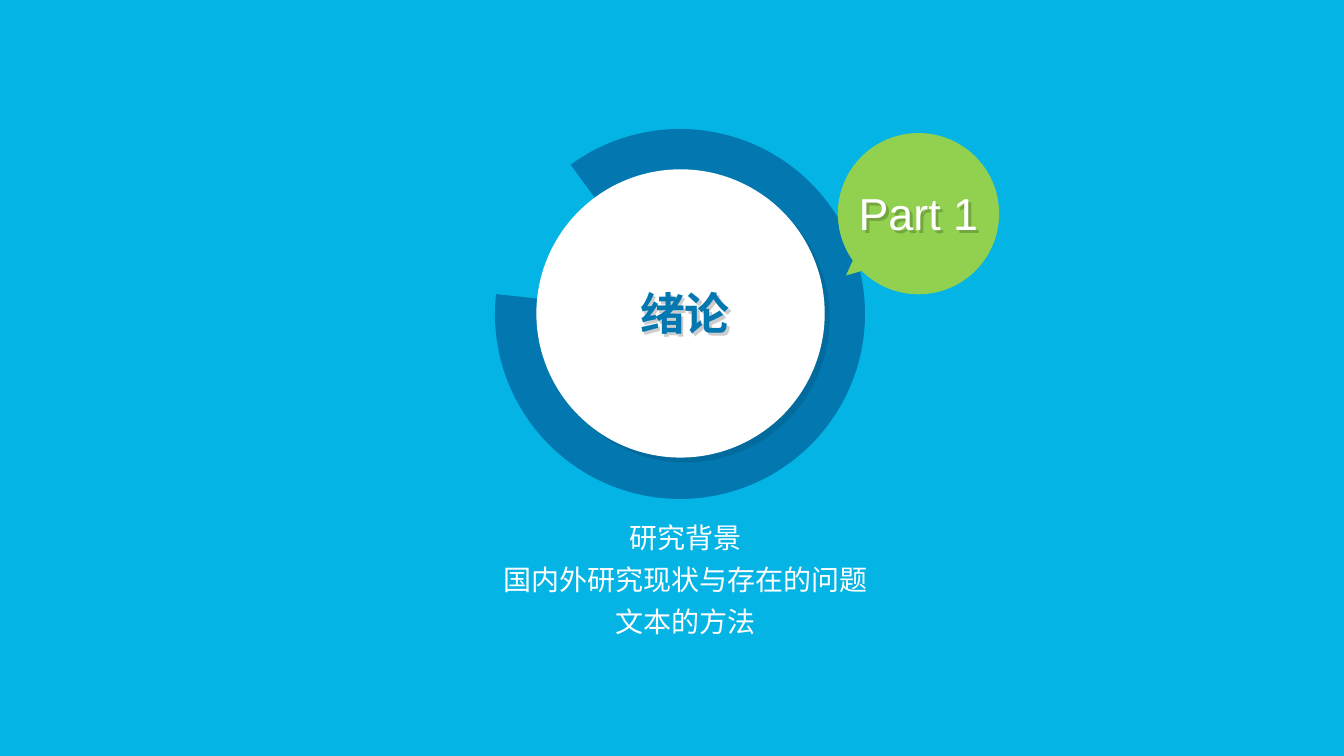
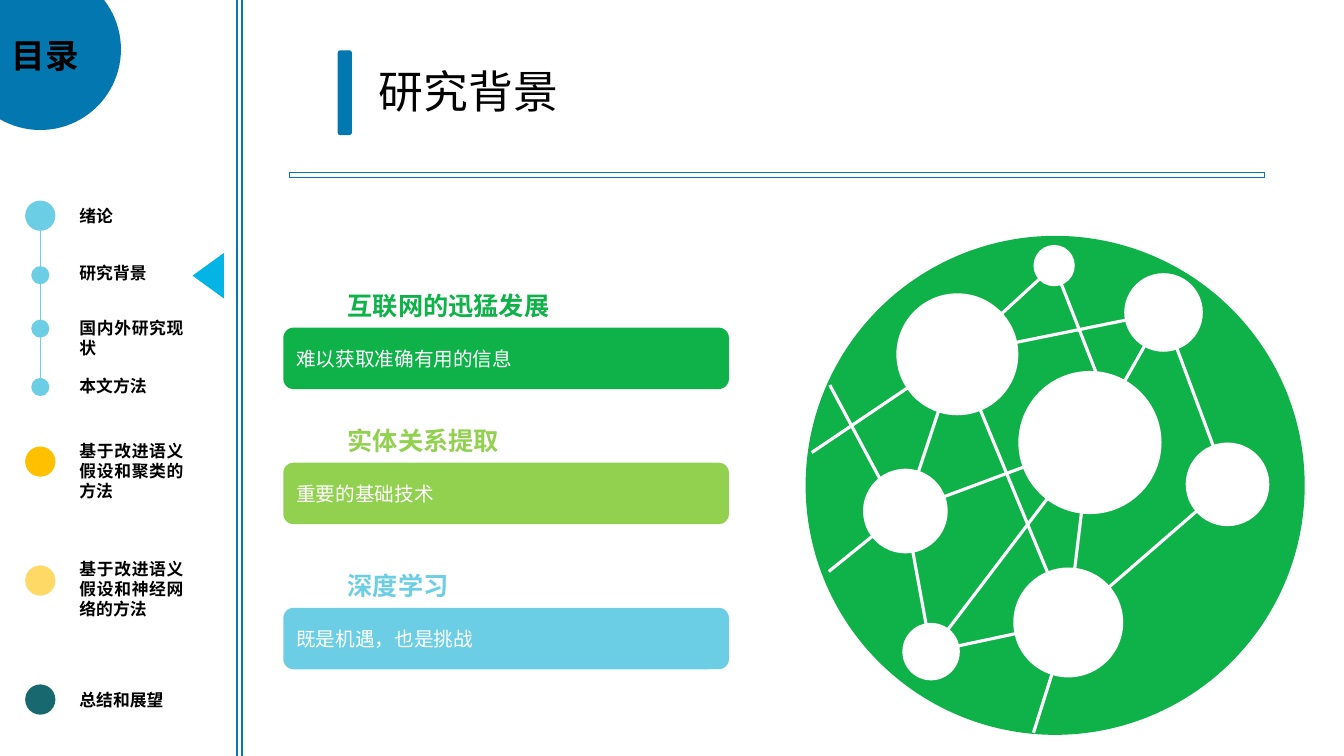
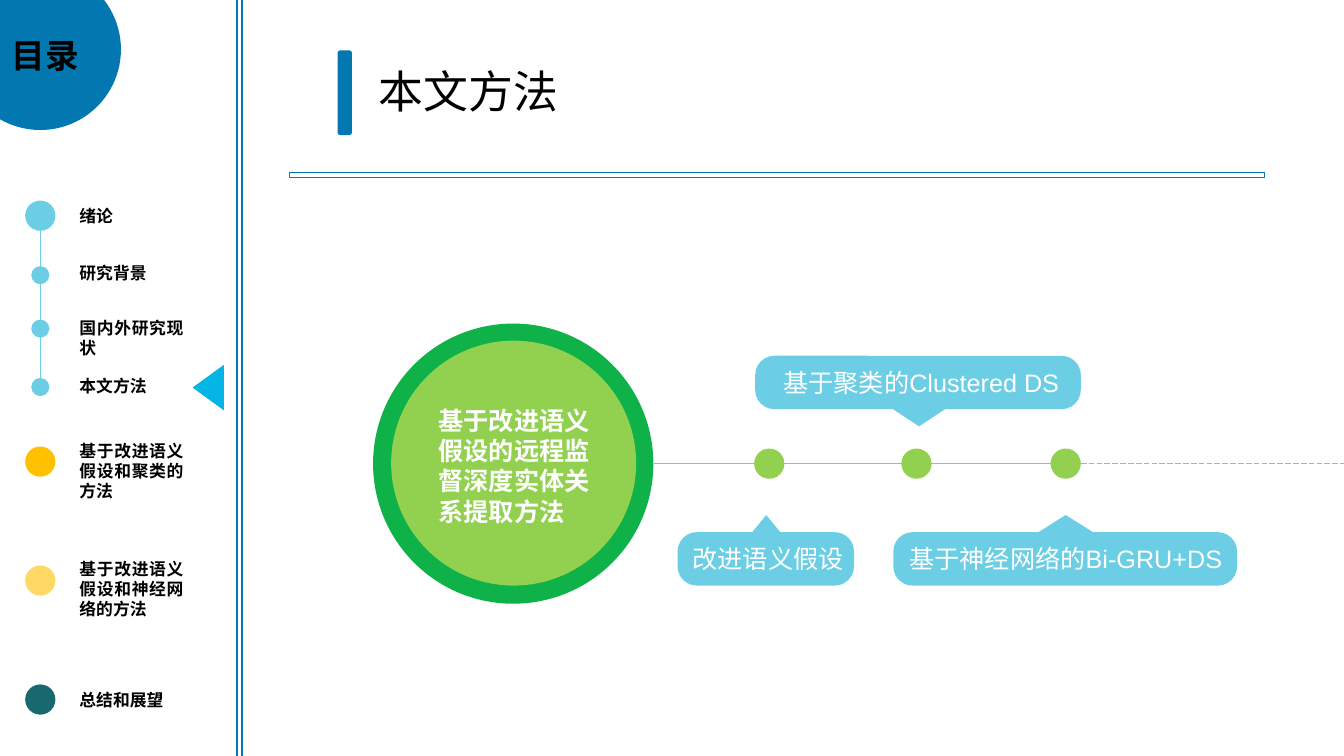
from dataclasses import dataclass

from lxml.etree import SubElement
from pptx import Presentation
from pptx.dml.color import RGBColor
from pptx.enum.dml import MSO_LINE
from pptx.enum.shapes import MSO_CONNECTOR, MSO_SHAPE
from pptx.enum.text import MSO_ANCHOR, MSO_AUTO_SIZE, PP_ALIGN
from pptx.oxml.ns import qn
from pptx.util import Emu, Pt

PX = 9144  # EMU per px, 100 px to the inch


@dataclass(frozen=True)
class Theme:
    white: str = "FFFFFF"
    black: str = "000000"
    cyan: str = "04B4E5"
    blue: str = "0378B0"
    sky: str = "6CCEE5"
    green: str = "0EB248"
    lime: str = "92D050"
    amber: str = "FFC000"
    sand: str = "FFD966"
    teal: str = "17696F"
    latin: str = "Arial"
    latin_alt: str = "Calibri"
    cjk: str = "Noto Sans CJK SC"
    title: int = 32
    menu_title: int = 24
    subtitle: int = 20
    body: int = 18
    card: int = 14
    menu: int = 12


T = Theme()


def px(n):
    return Emu(round(n * PX))


def rgb(color):
    return RGBColor.from_string(color)


def add_shadow(sp, alpha, dist):
    """Give a shape a hard shadow to the lower right; without a fill its text casts it."""
    props = sp._element.spPr
    for old in props.findall(qn("a:effectLst")):
        props.remove(old)
    effects = SubElement(props, qn("a:effectLst"))
    outer = SubElement(effects, qn("a:outerShdw"), blurRad="0", dist=str(Pt(dist)),
                       dir="2700000", algn="tl", rotWithShape="0")
    color = SubElement(outer, qn("a:srgbClr"), val=T.black)
    SubElement(color, qn("a:alpha"), val=str(alpha * 1000))


def write(sp, text, size=T.body, color=T.white, bold=False, font=T.latin, align=PP_ALIGN.LEFT,
          anchor=MSO_ANCHOR.TOP, wrap=True, grow=True, after=0, insets=(10, 5, 10, 5)):
    """Fill a shape with text, one paragraph per line."""
    tf = sp.text_frame
    tf.word_wrap = wrap
    tf.auto_size = MSO_AUTO_SIZE.SHAPE_TO_FIT_TEXT if grow else MSO_AUTO_SIZE.NONE
    tf.vertical_anchor = anchor
    tf.margin_left, tf.margin_top, tf.margin_right, tf.margin_bottom = map(px, insets)
    for i, line in enumerate(text.split("\n")):
        p = tf.paragraphs[0] if i == 0 else tf.add_paragraph()
        p.alignment = align
        p.space_after = Pt(after)
        r = p.add_run()
        r.text = line
        r.font.size = Pt(size)
        r.font.bold = bold
        r.font.color.rgb = rgb(color)
        r.font.name = font
        SubElement(r.font._element, qn("a:ea"), typeface=T.cjk)


class Deck:
    def __init__(self):
        self.prs = Presentation()
        self.prs.slide_width, self.prs.slide_height = px(1333), px(750)
        self.slide = None

    def new_slide(self, background=T.white):
        self.slide = self.prs.slides.add_slide(self.prs.slide_layouts[6])
        fill = self.slide.background.fill
        fill.solid()
        fill.fore_color.rgb = rgb(background)

    def shape(self, kind, x, y, w, h, fill=None, line=None, weight=0.75, rotation=0, adjust=()):
        sp = self.slide.shapes.add_shape(kind, px(x), px(y), px(w), px(h))
        sp.shadow.inherit = False
        sp.rotation = rotation
        for i, value in enumerate(adjust):
            sp.adjustments[i] = value
        if fill:
            sp.fill.solid()
            sp.fill.fore_color.rgb = rgb(fill)
        else:
            sp.fill.background()
        if line:
            sp.line.color.rgb = rgb(line)
            sp.line.width = Pt(weight)
        else:
            sp.line.fill.background()
        return sp

    def rect(self, x, y, w, h, **style):
        return self.shape(MSO_SHAPE.RECTANGLE, x, y, w, h, **style)

    def rounded(self, x, y, w, h, fill, **style):
        return self.shape(MSO_SHAPE.ROUNDED_RECTANGLE, x, y, w, h, fill, **style)

    def triangle(self, x, y, w, h, fill, rotation=0):
        return self.shape(MSO_SHAPE.ISOSCELES_TRIANGLE, x, y, w, h, fill, rotation=rotation)

    def circle(self, x, y, d, fill):
        return self.shape(MSO_SHAPE.OVAL, x, y, d, d, fill)

    def text(self, x, y, w, h, text, **fmt):
        sp = self.slide.shapes.add_textbox(px(x), px(y), px(w), px(h))
        write(sp, text, **fmt)
        return sp

    def line(self, start, end, color, weight, dash=None):
        cn = self.slide.shapes.add_connector(MSO_CONNECTOR.STRAIGHT, *map(px, start + end))
        cn.line.color.rgb = rgb(color)
        cn.line.width = Pt(weight)
        if dash:
            cn.line.dash_style = dash
        SubElement(cn._element.spPr, qn("a:effectLst"))

    def bubble(self, x, y, fill, tail_x, tail_y, rotation):
        """Round speech bubble with a turned tail."""
        self.circle(x, y, 160, fill)
        self.triangle(tail_x, tail_y, 57, 62, fill, rotation)

    def callout(self, x, y, w, tail_x, tail_w, text, text_x, text_w, points_up=True):
        tail_y = y - 17 if points_up else y + 26
        self.rounded(x, y, w, 53, T.sky, adjust=[0.36])
        self.triangle(tail_x, tail_y, tail_w, 44, T.sky, 0 if points_up else 180)
        self.text(text_x, y + 6, text_w, 40, text)

    def menu(self, pointer_y):
        self.bubble(-40, -31, T.blue, -44, 49, 240.3)
        heading = self.rect(2, 30, 107, 50, line=T.blue)
        write(heading, "目录", size=T.menu_title, color=T.black, bold=True, align=PP_ALIGN.JUSTIFY)
        self.line((40, 229), (40, 375), T.sky, 0.5)
        for text, dot_y, d, color, y, h in MENU:
            self.circle(40 - d / 2, dot_y, d, color)
            label = self.rect(69, y, 123, h, line=T.white)
            write(label, text, size=T.menu, color=T.black, bold=True, align=PP_ALIGN.JUSTIFY)
        self.triangle(184, pointer_y, 45, 31, T.cyan, 270)

    def content_slide(self, title, pointer_y):
        self.new_slide()
        self.text(366, 58, 556, 64, title, size=T.title, color=T.black)
        self.rounded(335, 50, 14, 84, T.blue)
        self.rect(287, 171, 967, 5, line=T.blue, weight=1)
        self.rect(235, -7, 5, 788, line=T.blue, weight=1)
        self.menu(pointer_y)


# text, dot top, dot diameter, dot colour, label top, label height
MENU = [
    ("绪论", 199, 30, T.sky, 199, 30),
    ("研究背景", 264, 18, T.sky, 256, 30),
    ("国内外研究现状", 317, 18, T.sky, 310, 50),
    ("本文方法", 375, 18, T.sky, 368, 30),
    ("基于改进语义假设和聚类的方法", 443, 30, T.amber, 432, 71),
    ("基于改进语义假设和神经网络的方法", 561, 30, T.sand, 549, 71),
    ("总结和展望", 679, 30, T.teal, 679, 30),
]

# heading, text, colour, top of the bar, latin font
CARDS = [
    ("互联网的迅猛发展", "难以获取准确有用的信息", T.green, 325, T.latin),
    ("实体关系提取", "重要的基础技术", T.lime, 459, T.latin_alt),
    ("深度学习", "既是机遇，也是挑战", T.sky, 603, T.latin_alt),
]

# left, top, diameter
NODES = {
    "hub": (1010, 368, 142),
    "left": (856, 465, 84),
    "bottom": (1005, 563, 109),
    "upper": (889, 291, 121),
    "corner": (1115, 271, 78),
    "low": (895, 618, 57),
    "top": (1025, 243, 41),
    "right": (1176, 439, 83),
}

# each end is a node name or a point
LINKS = [
    ("upper", "left"), ("upper", "bottom"), ("upper", "corner"), ("upper", "top"),
    ("hub", "bottom"), ("hub", "left"), ("hub", "corner"), ("hub", "low"),
    ("right", "corner"), ("right", "bottom"), ("low", "left"), ("low", "bottom"),
    ((1110, 428), "top"), ((805, 449), "upper"), ((1025, 727), "bottom"),
    ((822, 567), (880, 520)), ((823, 382), (893, 513)),
]


def link_end(end):
    if isinstance(end, tuple):
        return end
    x, y, d = NODES[end]
    return x + d / 2, y + d / 2


def section_slide(deck):
    deck.new_slide(T.cyan)
    deck.shape(MSO_SHAPE.BLOCK_ARC, 491, 128, 367, 367, T.blue, adjust=[140.26, 111.69, 0.16])
    add_shadow(deck.circle(532, 168, 286, T.white), 10, 5)
    title = deck.text(625, 279, 110, 64, "绪论", size=T.title, color=T.blue, bold=True, wrap=False)
    deck.bubble(831, 132, T.lime, 834, 222, 229.1)
    part = deck.text(841, 179, 140, 64, "Part 1", size=T.title, align=PP_ALIGN.CENTER, wrap=False)
    for sp in (title, part):
        add_shadow(sp, 20, 3)
    deck.text(475, 512, 410, 125, "研究背景\n国内外研究现状与存在的问题\n文本的方法", size=T.subtitle,
              font=T.cjk, align=PP_ALIGN.CENTER, after=6, insets=(8, 4, 8, 4))


def background_slide(deck):
    deck.content_slide("研究背景", 258)
    deck.circle(799, 234, 495, T.green)
    for start, end in LINKS:
        deck.line(link_end(start), link_end(end), T.white, 2.25)
    for x, y, d in NODES.values():
        deck.circle(x, y, d, T.white)
    for heading, text, color, y, font in CARDS:
        bar = deck.rounded(281, y, 442, 61, color)
        write(bar, text, size=T.card, font=font, align=PP_ALIGN.JUSTIFY,
              anchor=MSO_ANCHOR.MIDDLE, grow=False)
        deck.text(335, y - 42, 258, 40, heading, color=color, bold=True)


def method_slide(deck):
    deck.content_slide("本文方法", 369)
    deck.circle(370, 321, 278, T.green)
    deck.circle(388, 338, 243, T.lime)
    deck.text(425, 397, 181, 131, "基于改进语义假设的远程监督深度实体关系提取方法", bold=True)
    deck.line((649, 460), (1042, 460), T.lime, 0.5)
    deck.line((1072, 460), (1333, 460), T.lime, 0.5, MSO_LINE.LONG_DASH)
    for x in (748, 894, 1042):
        deck.circle(x, 445, 30, T.lime)
    deck.callout(672, 528, 175, 724, 72, "改进语义假设", 677, 187)
    deck.callout(886, 528, 341, 987, 140, "基于神经网络的Bi-GRU+DS", 892, 353)
    deck.callout(749, 353, 323, 845, 133, "基于聚类的Clustered DS", 767, 353, points_up=False)


def main():
    deck = Deck()
    section_slide(deck)
    background_slide(deck)
    method_slide(deck)
    deck.prs.save("out.pptx")


if __name__ == "__main__":
    main()
